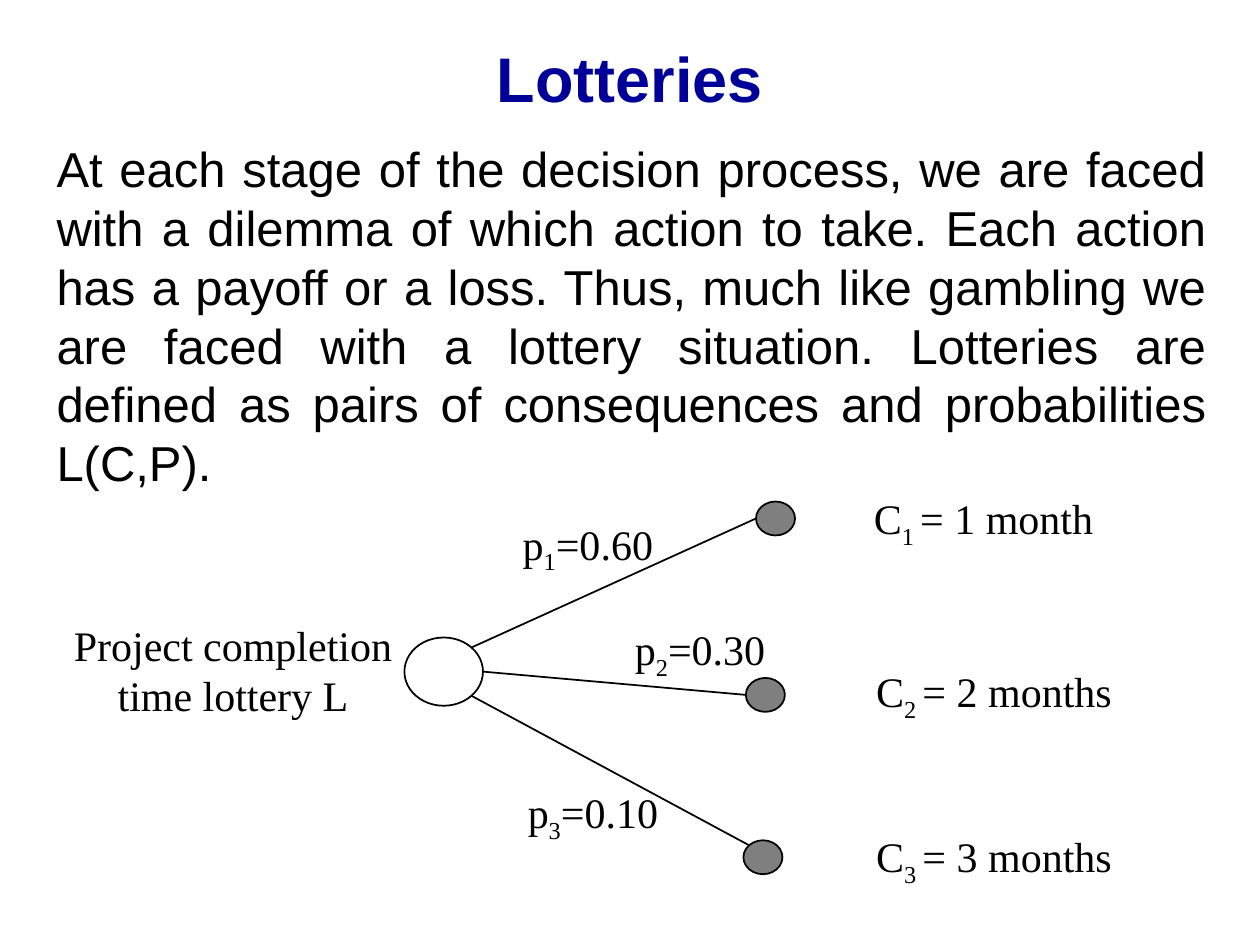
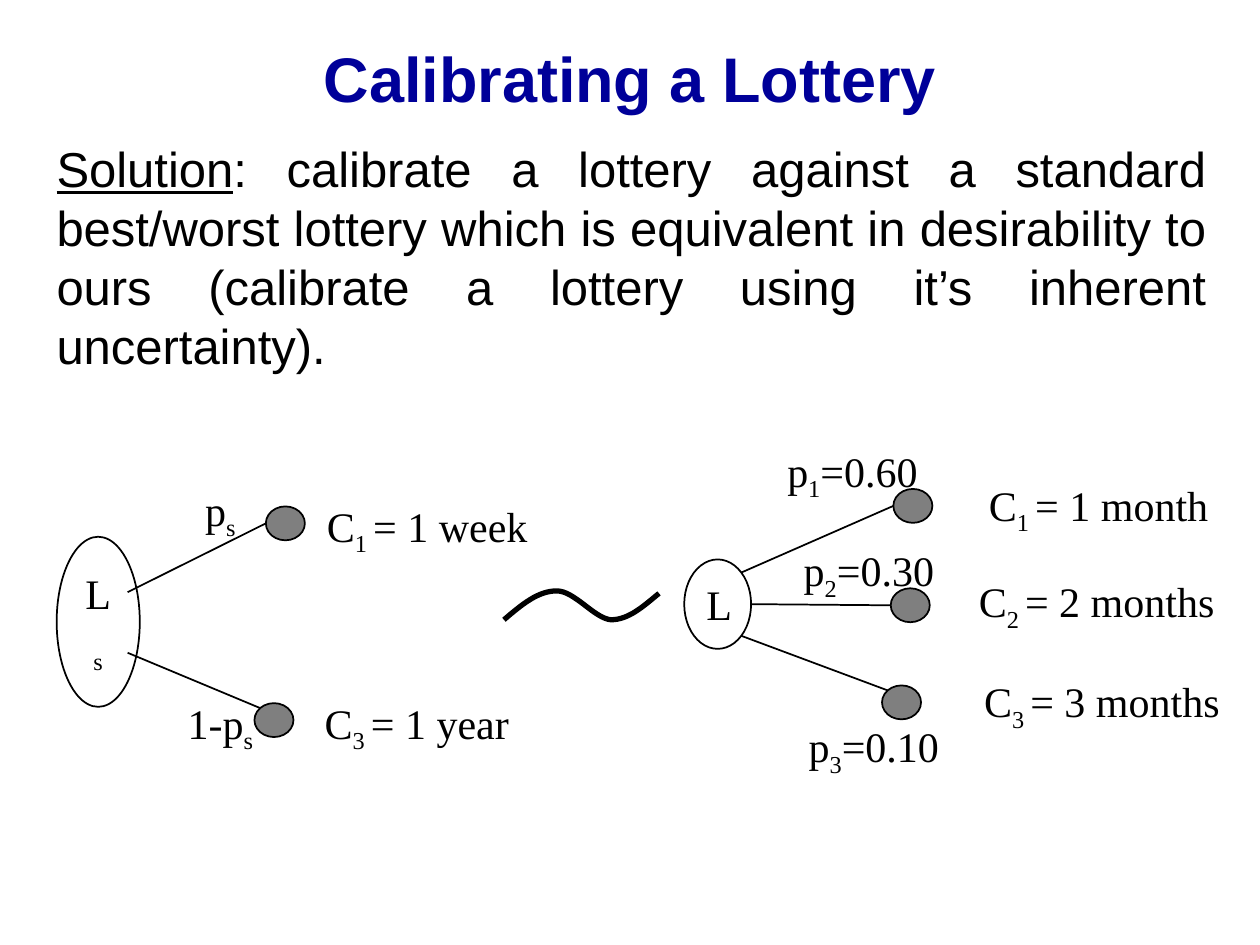
from dataclasses import dataclass
from math import cos, radians, sin

from lxml import etree
from pptx import Presentation
from pptx import util as u
from pptx.dml.color import RGBColor
from pptx.enum import shapes, text
from pptx.oxml import ns

NAVY, BLACK, WHITE = "000099", "000000", "FFFFFF"
SANS, SERIF = "Arial", "Times New Roman"
LINE_W = 1
NODE_W, NODE_H = 22.3, 19.4
LABEL_H = 40.3
CHANCE_W = 96
MONTH_W, MONTHS_W = 144, 154
CENTER, JUSTIFY = text.PP_ALIGN.CENTER, text.PP_ALIGN.JUSTIFY
TOP, MIDDLE = text.MSO_ANCHOR.TOP, text.MSO_ANCHOR.MIDDLE


@dataclass
class Oval:
    x: float
    y: float
    w: float = NODE_W
    h: float = NODE_H

    def rim(self, angle: float) -> tuple[float, float]:
        a = radians(angle)
        return (self.x + self.w / 2 * (1 + cos(a)),
                self.y + self.h / 2 * (1 + sin(a)))


@dataclass
class Label:
    text: str
    x: float
    y: float
    w: float
    h: float = LABEL_H
    wrap: bool = False


@dataclass
class Branch:
    node: Oval
    start: float
    end: float
    chance: Label
    outcome: Label


@dataclass
class Lottery:
    root: Oval
    name: str
    join: Oval
    branches: list[Branch]


def color(value: str) -> RGBColor:
    return RGBColor.from_string(value)


def write(tf, marked: str, size: float, font: str = SERIF, ink: str = BLACK,
          align=CENTER, anchor=MIDDLE, bold: bool = False, before: float = 0,
          mark: str = "sub") -> None:
    tf.vertical_anchor = anchor
    p = tf.paragraphs[0]
    p.alignment = align
    p.space_before = u.Pt(before)
    for i, part in enumerate(marked.split("_")):
        if not part:
            continue
        r = p.add_run()
        r.text = part
        r.font.name, r.font.size, r.font.bold = font, u.Pt(size), bold
        r.font.color.rgb = color(ink)
        if i % 2 and mark == "sub":
            r._r.get_or_add_rPr().set("baseline", "-25000")
        elif i % 2:
            r.font.underline = True


def add_text(s, x: float, y: float, w: float, h: float, wrap: bool = True):
    tf = s.shapes.add_textbox(u.Pt(x), u.Pt(y), u.Pt(w), u.Pt(h)).text_frame
    tf.word_wrap = wrap
    return tf


def add_label(s, label: Label) -> None:
    tf = add_text(s, label.x, label.y, label.w, label.h, label.wrap)
    write(tf, label.text, 24, before=15)


def add_oval(s, oval: Oval, fill: str, name: str = "") -> None:
    sp = s.shapes.add_shape(shapes.MSO_SHAPE.OVAL, u.Pt(oval.x), u.Pt(oval.y),
                            u.Pt(oval.w), u.Pt(oval.h))
    sp.shadow.inherit = False
    sp.fill.solid()
    sp.fill.fore_color.rgb = color(fill)
    clr = sp._element.spPr.find(".//" + ns.qn("a:srgbClr"))
    etree.SubElement(clr, ns.qn("a:alpha")).set("val", "50000")
    sp.line.color.rgb = color(BLACK)
    sp.line.width = u.Pt(LINE_W)
    if name:
        sp.text_frame.word_wrap = True
        write(sp.text_frame, name, 24)


def add_line(s, start: tuple[float, float], end: tuple[float, float]) -> None:
    c = s.shapes.add_connector(shapes.MSO_CONNECTOR.STRAIGHT,
                               *map(u.Pt, start + end))
    c.line.color.rgb = color(BLACK)
    c.line.width = u.Pt(LINE_W)
    etree.SubElement(c._element.spPr, ns.qn("a:effectLst"))


def add_lottery(s, lottery: Lottery) -> None:
    add_oval(s, lottery.root, WHITE, lottery.name)
    for b in lottery.branches:
        add_oval(s, b.node, BLACK)
        add_line(s, lottery.join.rim(b.start), b.node.rim(b.end))
        add_label(s, b.chance)
        add_label(s, b.outcome)


def add_curve(s, points: list[tuple[float, float]], width: float,
              steps: int = 16) -> None:
    track = []
    for k in range(0, len(points) - 1, 3):
        a, b, c, d = points[k:k + 4]
        for i in range(1, steps + 1):
            t = i / steps
            v = 1 - t
            track.append(tuple(
                u.Pt(v**3 * a[j] + 3 * v * v * t * b[j]
                     + 3 * v * t * t * c[j] + t**3 * d[j]) for j in (0, 1)))
    fb = s.shapes.build_freeform(*map(u.Pt, points[0]))
    fb.add_line_segments(track, close=False)
    sp = fb.convert_to_shape()
    sp.shadow.inherit = False
    sp.fill.background()
    sp.line.color.rgb = color(BLACK)
    sp.line.width = u.Pt(width)


def add_slide(prs, title: str, body: str):
    s = prs.slides.add_slide(prs.slide_layouts[6])
    write(add_text(s, 0, 12.2, 720, 64), title, 36, SANS, NAVY, bold=True)
    write(add_text(s, 25.2, 75.6, 671, 434), body, 28, SANS, align=JUSTIFY,
          anchor=TOP, before=17.5, mark="underline")
    return s


prs = Presentation()
prs.slide_width, prs.slide_height = u.Pt(720), u.Pt(540)

s = add_slide(
    prs, "Lotteries",
    "At each stage of the decision process, we are faced with a dilemma of "
    "which action to take. Each action has a payoff or a loss. Thus, much like "
    "gambling we are faced with a lottery situation. Lotteries are defined as "
    "pairs of consequences and probabilities L(C,P).")
root = Oval(231.1, 364.3, 44.9, 39)
add_lottery(s, Lottery(root, "", root, [
    Branch(Oval(432, 286.6), -45, 180,
           Label("p_1_=0.60", 287.9, 292.3, CHANCE_W),
           Label("C_1 _= 1 month", 490, 277.9, MONTH_W)),
    Branch(Oval(426.2, 387.4), 0, 180,
           Label("p_2_=0.30", 352, 352.8, CHANCE_W),
           Label("C_2 _= 2 months", 491, 376.6, MONTHS_W)),
    Branch(Oval(424.8, 480.2), 45, 225,
           Label("p_3_=0.10", 290.8, 445.7, CHANCE_W),
           Label("C_3 _= 3 months", 491, 470.9, MONTHS_W)),
]))
add_label(s, Label("Project completion time lottery L", 32.2, 336, 202,
                   93.6, wrap=True))

s = add_slide(
    prs, "Calibrating a Lottery",
    "_Solution_: calibrate a lottery against a standard best/worst lottery "
    "which is equivalent in desirability to ours (calibrate a lottery using "
    "it’s inherent uncertainty).")
root = Oval(391, 319.7, 38.2, 51.1)
add_lottery(s, Lottery(root, "L", root, [
    Branch(Oval(510.5, 279.4), -45, 180,
           Label("p_1_=0.60", 439.1, 250.6, CHANCE_W),
           Label("C_1 _= 1 month", 555.8, 270, MONTH_W)),
    Branch(Oval(509, 336.2), 0, 180,
           Label("p_2_=0.30", 448.5, 307.4, CHANCE_W),
           Label("C_2 _= 2 months", 549.6, 325.4, MONTHS_W)),
    Branch(Oval(504, 391.7), 45, 225,
           Label("p_3_=0.10", 451.3, 408.2, CHANCE_W),
           Label("C_3 _= 3 months", 552.6, 382.3, MONTHS_W)),
]))
add_lottery(s, Lottery(
    Oval(32.4, 306.7, 47.5, 97.2), "L_s", Oval(32.4, 331.2, 47.5, 49), [
        Branch(Oval(151.9, 289.4), -45, 180, Label("p_s", 108, 272.9, 36),
               Label("C_1 _= 1 week", 172.8, 282.2, 142.6)),
        Branch(Oval(145.4, 401.8), 45, 225, Label("1-p_s", 98, 394.6, 56),
               Label("C_3 _= 1 year", 171.5, 394.6, 133.2)),
    ]))
add_curve(s, [(288, 354.2), (298.1, 345.6), (307.4, 337.7), (318.2, 337.7),
              (328.3, 337.7), (339.8, 353.5), (349.2, 354.2),
              (359.3, 354.2), (367.9, 346.3), (376.6, 339.1)], 3)

prs.save("out.pptx")
